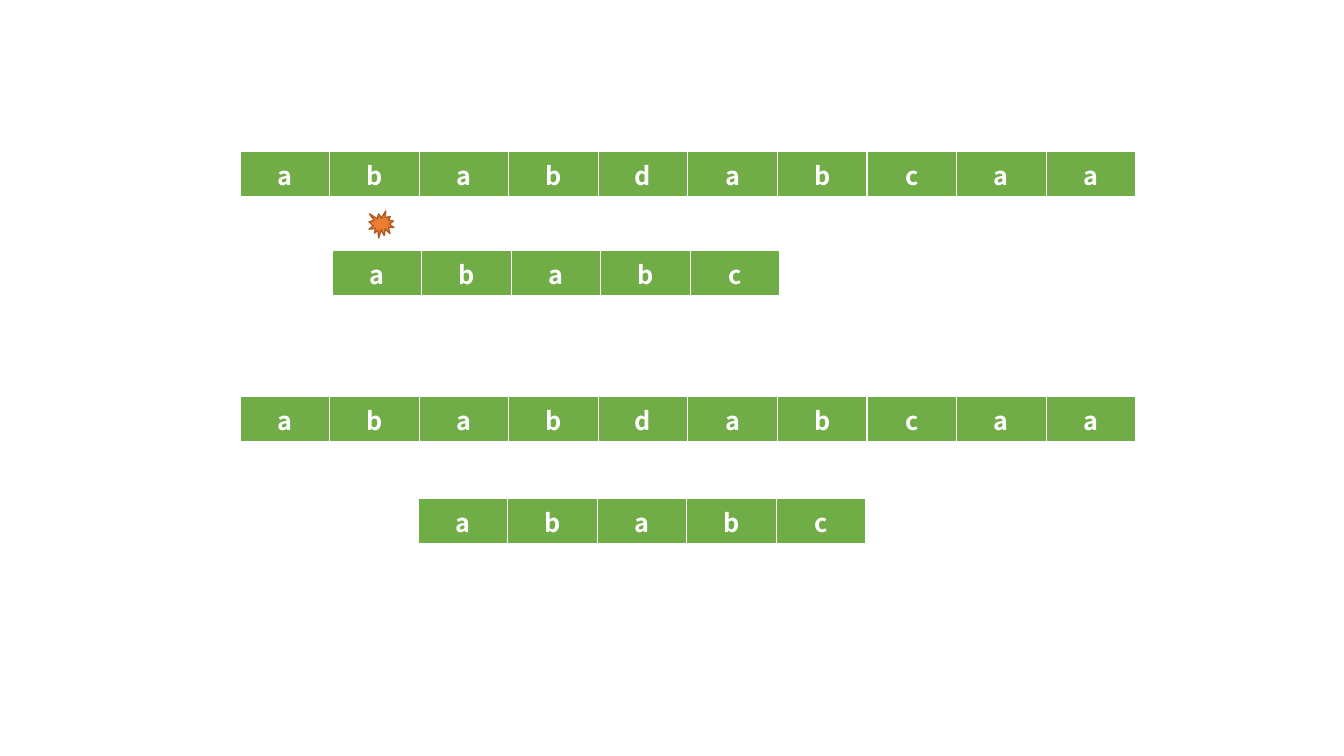
from pptx import Presentation
from pptx.dml.color import RGBColor as RGB
from pptx.enum.shapes import MSO_SHAPE as SHAPE
from pptx.enum.text import PP_ALIGN as ALIGN
from pptx.oxml import parse_xml
from pptx.oxml.ns import nsdecls
from pptx.util import Inches, Pt

SCALE = Inches(1) / 100.8
FONT = "Noto Sans CJK SC"
GREEN, ORANGE, RUST, WHITE = "70AD47", "ED7D31", "AF5C24", "FFFFFF"
TEXT, WORD = "ababdabcaa", "ababc"
EDGES = {"L": 1, "R": 1, "T": 1, "B": 3}


def px(size):
    return round(size * SCALE)


def paint(fill, color):
    fill.solid()
    fill.fore_color.rgb = RGB.from_string(color)


def edge(cell, color):
    props = cell._tc.get_or_add_tcPr()
    for side, width in EDGES.items():
        props.append(parse_xml(
            f'<a:ln{side} {nsdecls("a")} w="{Pt(width)}"><a:solidFill>'
            f'<a:srgbClr val="{color}"/></a:solidFill></a:ln{side}>'))


def add_row(slide, letters, left, top, width, height):
    frame = slide.shapes.add_table(
        1, len(letters), px(left), px(top), px(width), px(height))
    table = frame.table
    table.horz_banding = False
    for column, letter in enumerate(letters):
        table.columns[column].width = px(width / len(letters))
        cell = table.cell(0, column)
        edge(cell, WHITE)
        paint(cell.fill, GREEN)
        cell.text = letter
        line = cell.text_frame.paragraphs[0]
        line.alignment = ALIGN.CENTER
        font = line.font
        font.name, font.size, font.bold = FONT, Pt(18), True
        font.color.rgb = RGB.from_string(WHITE)


def add_clash(slide, left, top, width, height):
    burst = slide.shapes.add_shape(
        SHAPE.EXPLOSION1, px(left), px(top), px(width), px(height))
    burst.shadow.inherit = False
    paint(burst.fill, ORANGE)
    paint(burst.line.fill, RUST)
    burst.line.width = Pt(1)


def add_step(slide, left, top, shift, drop):
    add_row(slide, TEXT, left, top, 896, 41)
    add_row(slide, WORD, left + shift, top + drop, 448, 41)


deck = Presentation()
deck.slide_width, deck.slide_height = px(1344), px(756)
slide = deck.slides.add_slide(deck.slide_layouts[6])
add_step(slide, 240, 151, 92, 99)
add_clash(slide, 369, 211, 25, 27)
add_step(slide, 240, 396, 178, 102)
deck.save("out.pptx")
